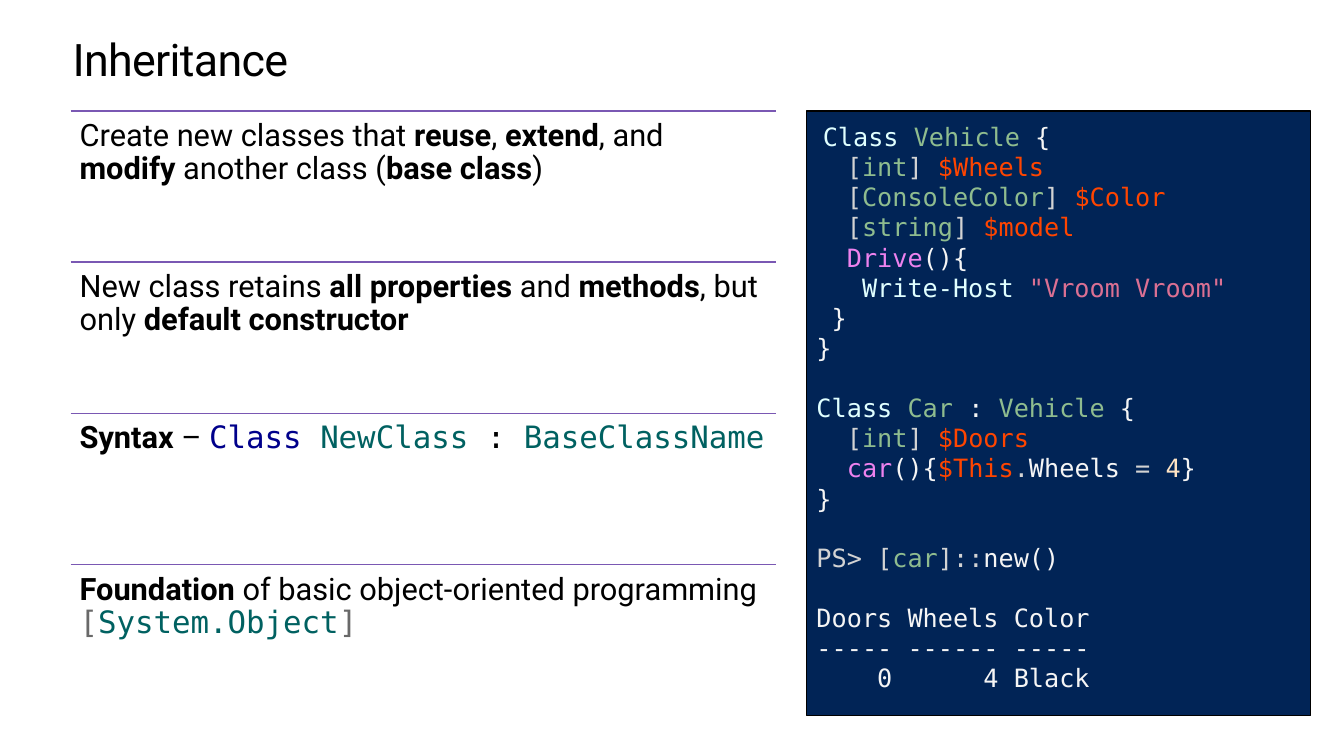
from dataclasses import dataclass
from typing import Optional

from lxml.etree import SubElement
from pptx import Presentation
from pptx.dml.color import RGBColor
from pptx.enum.shapes import MSO_CONNECTOR as CONNECTOR, MSO_SHAPE as SHAPE
from pptx.enum.text import MSO_ANCHOR as ANCHOR, PP_ALIGN as ALIGN
from pptx.oxml.ns import qn
from pptx.slide import Slide
from pptx.text.text import TextFrame, _Paragraph as Paragraph
from pptx.util import Inches, Pt


@dataclass(frozen=True)
class Theme:
    body_font: str = "Roboto"
    code_font: str = "DejaVu Sans Mono"
    title_size: float = 32
    body_size: float = 22
    code_size: float = 18
    code_line: float = 21
    text: str = "000000"
    rule: str = "7A58B3"
    panel: str = "012456"
    dark_keyword: str = "00008B"
    dark_type: str = "006161"
    dark_bracket: str = "696969"
    keyword: str = "E0FFFF"
    type_name: str = "8FBC8F"
    plain: str = "F5F5F5"
    bracket: str = "D3D3D3"
    variable: str = "FF4500"
    method: str = "EE82EE"
    string: str = "DB7093"
    number: str = "FFE4C4"


T = Theme()


@dataclass(frozen=True)
class Span:
    text: str
    color: str = T.text
    bold: bool = False
    font: Optional[str] = None


@dataclass(frozen=True)
class CodeLine:
    spans: list[Span]
    gap_before: bool = False


def bold(text: str) -> Span:
    return Span(text, bold=True)


def code(text: str, color: str) -> Span:
    return Span(text, color, font=T.code_font)


def prop(type_name: str, variable: str) -> CodeLine:
    return CodeLine([Span("  [", T.bracket), Span(type_name, T.type_name),
                     Span("] ", T.bracket), Span(variable, T.variable)])


def plain(text: str, gap_before: bool = False) -> CodeLine:
    return CodeLine([Span(text, T.plain)], gap_before)


POINTS = [
    [Span("Create new classes that "), bold("reuse"), Span(", "), bold("extend"),
     Span(", and "), bold("modify"), Span(" another class ("), bold("base class"), Span(")")],
    [Span("New class retains "), bold("all properties"), Span(" and "), bold("methods"),
     Span(", but only "), bold("default constructor")],
    [bold("Syntax"), Span(" – "), code("Class ", T.dark_keyword),
     code("NewClass", T.dark_type), code(" : ", T.text), code("BaseClassName", T.dark_type)],
    [bold("Foundation"), Span(" of basic object-oriented programming "),
     code("[", T.dark_bracket), code("System.Object", T.dark_type), code("]", T.dark_bracket)],
]

LISTING = [
    CodeLine([Span(" ", T.plain, font=T.body_font), code("Class ", T.keyword),
              code("Vehicle", T.type_name), code(" {", T.plain)]),
    prop("int", "$Wheels"),
    prop("ConsoleColor", "$Color"),
    prop("string", "$model"),
    CodeLine([Span("  Drive", T.method), Span("(){", T.plain)]),
    CodeLine([Span("   Write-Host ", T.keyword), Span('"Vroom Vroom"', T.string)]),
    plain(" }"),
    plain("}"),
    CodeLine([Span("Class ", T.keyword), Span("Car", T.type_name), Span(" : ", T.plain),
              Span("Vehicle ", T.type_name), Span("{", T.plain)], True),
    prop("int", "$Doors"),
    CodeLine([Span("  car", T.method), Span("(){", T.plain), Span("$This", T.variable),
              Span(".", T.bracket), Span("Wheels ", T.plain), Span("= ", T.bracket),
              Span("4", T.number), Span("}", T.plain)]),
    plain("}"),
    CodeLine([Span("PS> [", T.bracket), Span("car", T.type_name),
              Span("]::", T.bracket), Span("new()", T.plain)], True),
    plain("Doors Wheels Color", True),
    plain("----- ------ -----"),
    plain("    0      4 Black"),
]


def rgb(color: str) -> RGBColor:
    return RGBColor.from_string(color)


def setup_frame(tf: TextFrame, inset: float) -> None:
    tf.word_wrap = True
    tf.vertical_anchor = ANCHOR.TOP
    tf.margin_left = tf.margin_right = tf.margin_top = tf.margin_bottom = Inches(inset)


def write_spans(p: Paragraph, spans: list[Span], size: float, font: str) -> None:
    p.alignment = ALIGN.LEFT
    p.font.size = Pt(size)
    fonts = {span.font or font for span in spans}
    if len(fonts) == 1:
        p.font.name = fonts.pop()
    for span in spans:
        r = p.add_run()
        r.text = span.text
        r.font.color.rgb = rgb(span.color)
        if span.bold:
            r.font.bold = True
        if fonts:
            r.font.name = span.font or font


def add_title(s: Slide, text: str) -> None:
    tf = s.shapes.add_textbox(Inches(0.72), Inches(0.35), Inches(11.9), Inches(0.5)).text_frame
    setup_frame(tf, 0)
    p = tf.paragraphs[0]
    p.line_spacing = Pt(36.2)
    write_spans(p, [Span(text)], T.title_size, T.body_font)
    p.runs[0].font._element.set("spc", "-50")


def add_point(s: Slide, top: float, spans: list[Span]) -> None:
    left, width, height = 0.7, 7, 1.5
    rule = s.shapes.add_connector(CONNECTOR.STRAIGHT, Inches(left), Inches(top),
                                  Inches(left + width), Inches(top))
    rule.line.color.rgb = rgb(T.rule)
    rule.line.width = Pt(1)
    SubElement(rule._element.spPr, qn("a:effectLst"))
    tf = s.shapes.add_textbox(Inches(left), Inches(top), Inches(width), Inches(height)).text_frame
    setup_frame(tf, 0.09)
    p = tf.paragraphs[0]
    p.line_spacing = 0.9
    write_spans(p, spans, T.body_size, T.body_font)


def add_listing(s: Slide, lines: list[CodeLine]) -> None:
    sp = s.shapes.add_shape(SHAPE.RECTANGLE, Inches(8), Inches(1.1), Inches(5), Inches(6))
    sp.shadow.inherit = False
    sp.fill.solid()
    sp.fill.fore_color.rgb = rgb(T.panel)
    sp.line.color.rgb = rgb(T.text)
    sp.line.width = Pt(1)
    tf = sp.text_frame
    setup_frame(tf, 0.1)
    for i, line in enumerate(lines):
        p = tf.add_paragraph() if i else tf.paragraphs[0]
        if line.gap_before:
            p.space_before = Pt(T.code_line)
        write_spans(p, line.spans, T.code_size, T.code_font)


def main() -> None:
    prs = Presentation()
    prs.slide_width, prs.slide_height = Inches(13.33), Inches(7.5)
    s = prs.slides.add_slide(prs.slide_layouts[6])
    add_title(s, "Inheritance")
    for i, spans in enumerate(POINTS):
        add_point(s, 1.1 + 1.5 * i, spans)
    add_listing(s, LISTING)
    prs.save("out.pptx")


if __name__ == "__main__":
    main()
